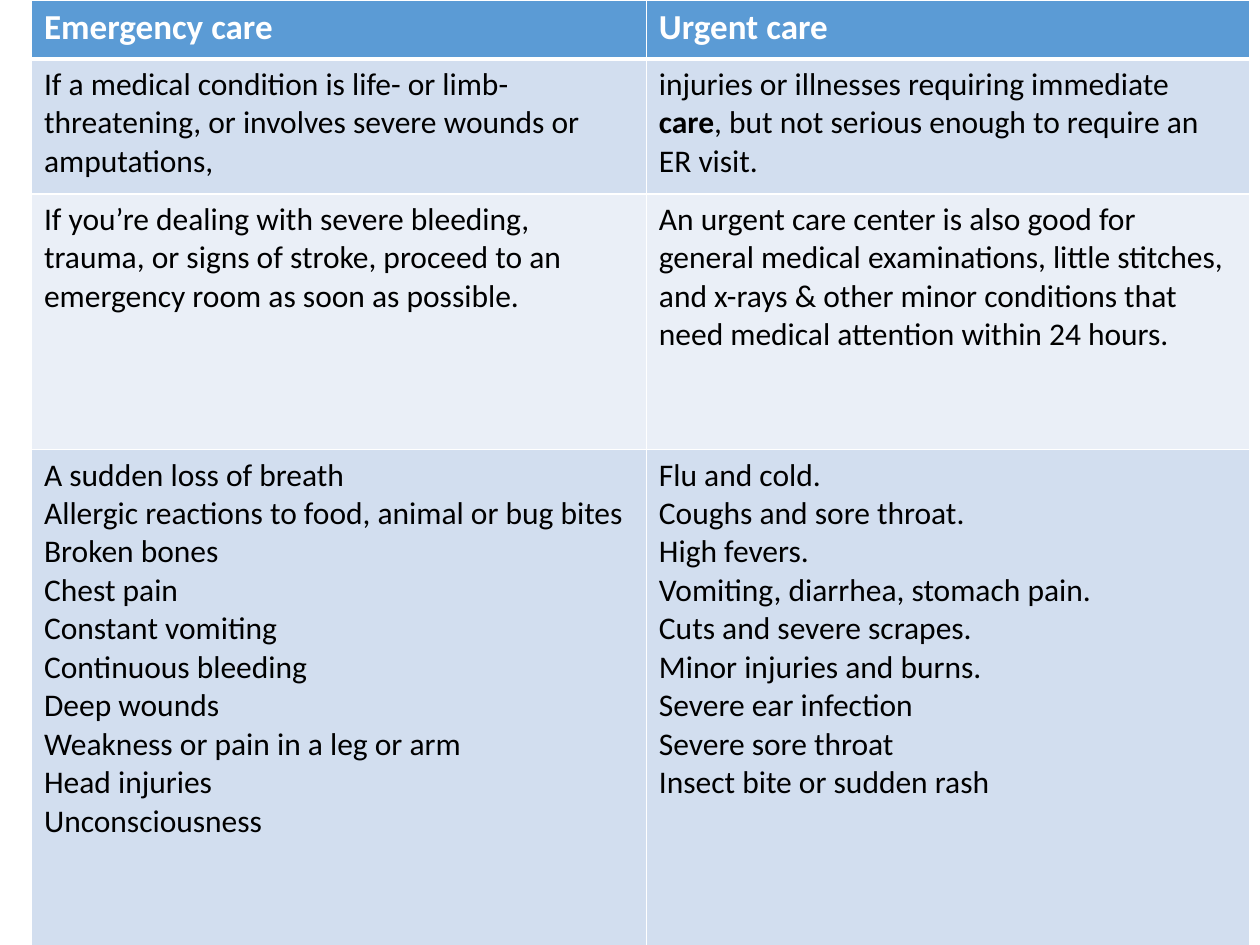
import pptx
import pptx.dml.color
import pptx.oxml.ns
import pptx.util
from lxml import etree

Inches = pptx.util.Inches
theme = {
    "font": "Calibri",
    "head": {"size": 20, "text": "FFFFFF", "fill": "5B9BD5"},
    "body": {"size": 18, "text": "000000", "fills": ["D2DEEF", "EAEFF7"]},
    "line": "FFFFFF",
}

# Cell wording: ** marks bold, a new line starts a paragraph
rows = [
    ["Emergency care", "Urgent care"],
    ["If a medical condition is life- or limb-threatening, or involves "
     "severe wounds or amputations,",
     "injuries or illnesses requiring immediate **care**, but not serious "
     "enough to require an ER visit."],
    ["If you’re dealing with severe bleeding, trauma, or signs of stroke, "
     "proceed to an emergency room as soon as possible.",
     "An urgent care center is also good for general medical examinations, "
     "little stitches, and x-rays & other minor conditions that need "
     "medical attention within 24 hours."],
    ["A sudden loss of breath\n"
     "Allergic reactions to food, animal or bug bites\n"
     "Broken bones\n"
     "Chest pain\n"
     "Constant vomiting\n"
     "Continuous bleeding\n"
     "Deep wounds\n"
     "Weakness or pain in a leg or arm\n"
     "Head injuries\n"
     "Unconsciousness",
     "Flu and cold.\n"
     "Coughs and sore throat.\n"
     "High fevers.\n"
     "Vomiting, diarrhea, stomach pain.\n"
     "Cuts and severe scrapes.\n"
     "Minor injuries and burns.\n"
     "Severe ear infection\n"
     "Severe sore throat\n"
     "Insect bite or sudden rash"],
]
widths = [4.88, 4.79]
heights = [0.47, 1.07, 2.03, 3.96]


def rgb(code):
    return pptx.dml.color.RGBColor.from_string(code)


def edge(cell, side, width):
    """Draw one border of a cell; call before the cell gets its fill."""
    qn = pptx.oxml.ns.qn
    props = cell._tc.get_or_add_tcPr()
    line = etree.SubElement(props, qn("a:ln" + side),
                            w=str(pptx.util.Pt(width)))
    fill = etree.SubElement(line, qn("a:solidFill"))
    etree.SubElement(fill, qn("a:srgbClr"), val=theme["line"])


# Slide
deck = pptx.Presentation()
deck.slide_width, deck.slide_height = Inches(10), Inches(7.5)
slide = deck.slides.add_slide(deck.slide_layouts[6])

# Table grid
frame = slide.shapes.add_table(len(rows), len(widths), Inches(0.25), Inches(0),
                               Inches(sum(widths)), Inches(sum(heights)))
table = frame.table
for col, width in zip(table.columns, widths):
    col.width = Inches(width)
for row, height in zip(table.rows, heights):
    row.height = Inches(height)

# Cells: borders, fill and text
for r, row in enumerate(rows):
    style = theme["body"] if r else theme["head"]
    shade = style["fills"][(r - 1) % 2] if r else style["fill"]
    for c, words in enumerate(row):
        cell = table.cell(r, c)
        # A thick rule parts the header from the body
        for side, width in (("L", 1), ("R", 1), ("T", 3 if r == 1 else 1),
                            ("B", 3 if r == 0 else 1)):
            edge(cell, side, width)
        cell.fill.solid()
        cell.fill.fore_color.rgb = rgb(shade)

        text = cell.text_frame
        for n, line in enumerate(words.split("\n")):
            para = text.add_paragraph() if n else text.paragraphs[0]
            for i, part in enumerate(line.split("**")):
                run = para.add_run()
                run.text = part
                run.font.name = theme["font"]
                run.font.size = pptx.util.Pt(style["size"])
                run.font.bold = r == 0 or i % 2 == 1
                run.font.color.rgb = rgb(style["text"])

deck.save("out.pptx")
